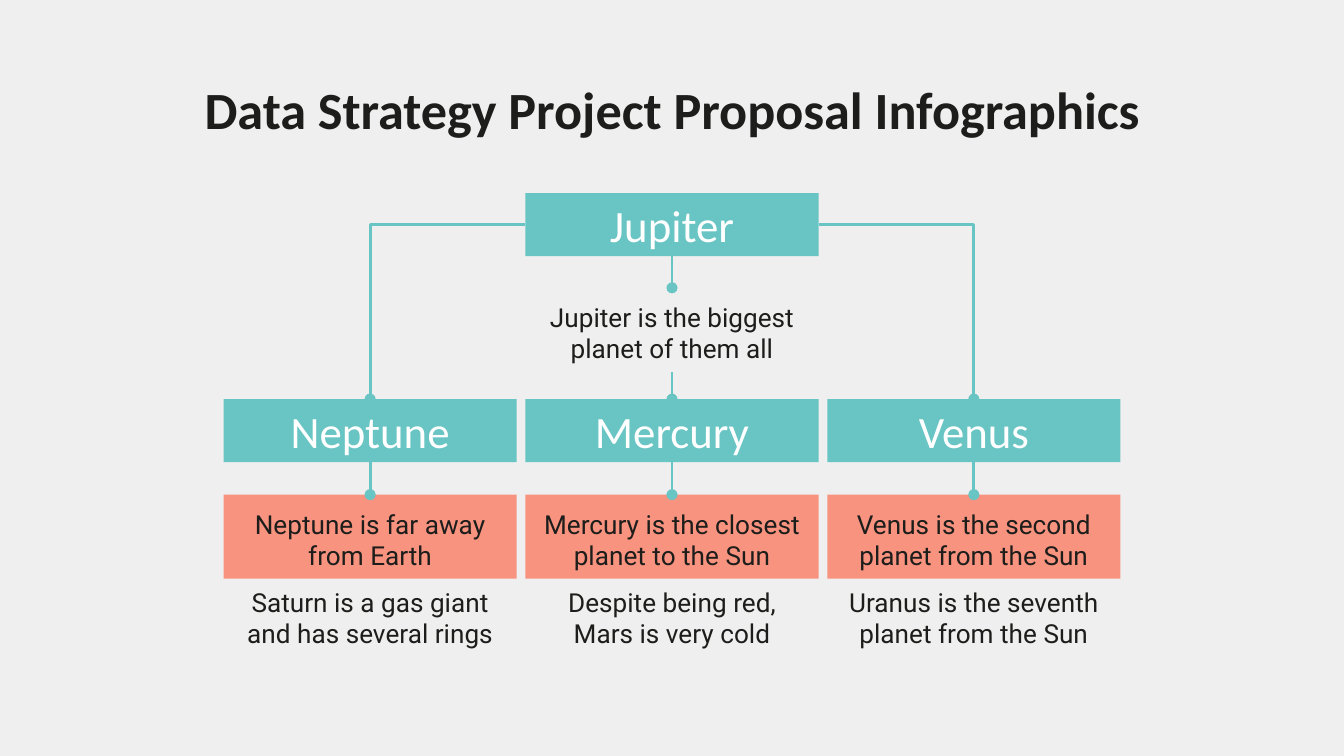
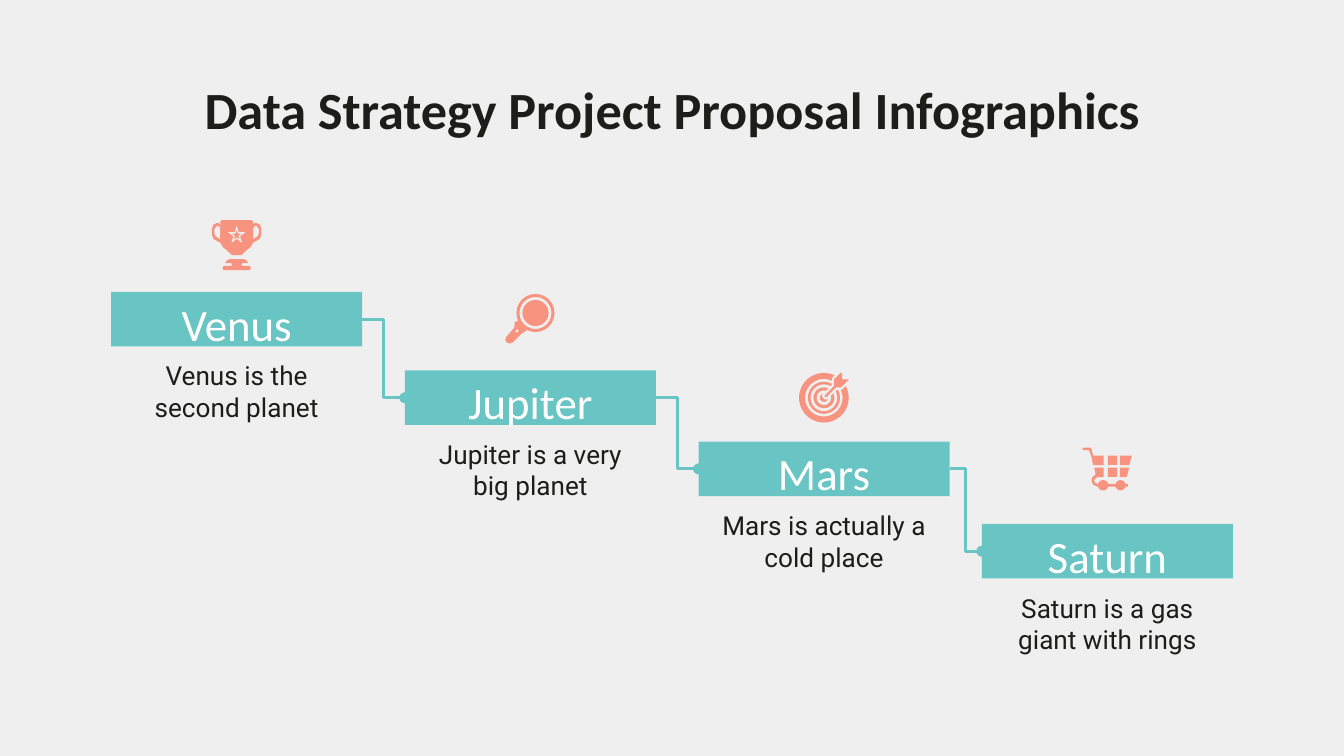
from lxml import etree
from pptx import Presentation
from pptx.dml.color import RGBColor
from pptx.enum.shapes import MSO_CONNECTOR, MSO_SHAPE
from pptx.enum.text import MSO_ANCHOR, PP_ALIGN
from pptx.oxml.ns import qn
from pptx.util import Pt

RECTANGLE, OVAL = MSO_SHAPE.RECTANGLE, MSO_SHAPE.OVAL
DONUT, STAR = MSO_SHAPE.DONUT, MSO_SHAPE.STAR_5_POINT
STRAIGHT, ELBOW = MSO_CONNECTOR.STRAIGHT, MSO_CONNECTOR.ELBOW
TOP, MIDDLE = MSO_ANCHOR.TOP, MSO_ANCHOR.MIDDLE
CENTER = PP_ALIGN.CENTER

COLORS = {
    "background": "EFEFEF",
    "ink": "1D1D1B",
    "teal": "68C5C3",
    "coral": "F7937F",
    "white": "FFFFFF",
}
HEADING_FONT, BODY_FONT = "Calibri", "Roboto"
TITLE = "Data Strategy Project Proposal Infographics"
ICON_WIDTH = 26.6
NOTE_HEIGHT = 45

ROOT = ("Jupiter", "Jupiter is the biggest planet of them all")
BRANCHES = [
    ("Neptune", "Neptune is far away from Earth",
     "Saturn is a gas giant and has several rings"),
    ("Mercury", "Mercury is the closest planet to the Sun",
     "Despite being red, Mars is very cold"),
    ("Venus", "Venus is the second planet from the Sun",
     "Uranus is the seventh planet from the Sun"),
]
STEPS = [
    ("Venus", "Venus is the second planet", 59.5, 156.4),
    ("Jupiter", "Jupiter is a very big planet", 216.9, 198.5),
    ("Mars", "Mars is actually a\ncold place", 374.2, 236.6),
    ("Saturn", "Saturn is a gas giant with rings", 526, 280.7),
]


def color(name):
    return RGBColor.from_string(COLORS[name])


def paint(shape, fill, outline=0):
    shape.shadow.inherit = False
    shape.fill.solid()
    shape.fill.fore_color.rgb = color(fill)
    if outline:
        shape.line.color.rgb = color(fill)
        shape.line.width = Pt(outline)
    else:
        shape.line.fill.background()
    return shape


def write(box, text, font=BODY_FONT, size=14, ink="ink", bold=False,
          anchor=TOP, spacing=1.0):
    frame = box.text_frame
    frame.word_wrap = True
    frame.vertical_anchor = anchor
    frame.margin_left = frame.margin_right = Pt(7.2)
    frame.margin_top = frame.margin_bottom = Pt(7.2)
    for index, line in enumerate(text.split("\n")):
        para = frame.add_paragraph() if index else frame.paragraphs[0]
        para.alignment = CENTER
        para.line_spacing = spacing
        span = para.add_run()
        span.text = line
        span.font.name = font
        span.font.size = Pt(size)
        span.font.bold = bold
        span.font.color.rgb = color(ink)


def add_preset(page, kind, left, top, width, height, fill):
    shape = page.shapes.add_shape(kind, Pt(left), Pt(top), Pt(width), Pt(height))
    return paint(shape, fill)


def add_note(page, text, left, top, width, fill=None):
    if fill:
        box = add_preset(page, RECTANGLE, left, top, width, NOTE_HEIGHT, fill)
    else:
        box = page.shapes.add_textbox(Pt(left), Pt(top), Pt(width), Pt(NOTE_HEIGHT))
    write(box, text)


def add_bar(page, text, left, top, width, height, spacing=1.0):
    bar = add_preset(page, RECTANGLE, left, top, width, height, "teal")
    write(bar, text, font=HEADING_FONT, size=24, ink="white", anchor=MIDDLE,
          spacing=spacing)


def add_link(page, start, end, kind=STRAIGHT, single_bend=False):
    link = page.shapes.add_connector(kind, *map(Pt, start + end))
    link.line.color.rgb = color("teal")
    link.line.width = Pt(1.5)
    properties = link._element.spPr
    if single_bend:
        properties.find(qn("a:prstGeom")).set("prst", "bentConnector2")
    etree.SubElement(link.line._get_or_add_ln(), qn("a:tailEnd"), type="oval")
    etree.SubElement(properties, qn("a:effectLst"))


def add_outline(page, origin, *contours, fill="coral", outline=0):
    placed = [[(Pt(origin[0] + x), Pt(origin[1] + y)) for x, y in contour]
              for contour in contours]
    builder = page.shapes.build_freeform(*placed[0][0])
    builder.add_line_segments(placed[0][1:])
    for contour in placed[1:]:
        builder.move_to(*contour[0])
        builder.add_line_segments(contour[1:])
    paint(builder.convert_to_shape(), fill, outline)


def add_round(page, center, radius, hole=0):
    shape = add_preset(page, DONUT if hole else OVAL, center[0] - radius,
                       center[1] - radius, 2 * radius, 2 * radius, "coral")
    if hole:
        shape.adjustments[0] = (radius - hole) / (2 * radius)


def mirror(points):
    return [(ICON_WIDTH - x, y) for x, y in reversed(points)]


def add_trophy(page, left, top):
    origin = (left, top)
    cup = [(13.3, 0), (5.2, 0), (4.5, 0.6), (4.5, 12), (6, 14.5),
           (8.6, 16.6), (10.8, 18.7)]
    base = [(9.4, 20.9), (7.9, 21.6), (7.2, 23), (10.4, 23), (10.8, 23.8),
            (10.4, 24.5), (6.5, 24.5), (5.8, 25.2), (5.8, 26.2), (6.5, 26.8)]
    handle = [(4.6, 2), (2.9, 1.4), (0.8, 2.4), (0, 5), (0, 7.5),
              (0.9, 10), (5, 12.4)]
    opening = [(2.9, 2.9), (4.2, 3.6), (4.5, 5), (4.5, 10.2), (2, 8.6),
               (1.4, 7.2), (1.4, 4.6)]
    for half in (cup, base):
        add_outline(page, origin, half + mirror(half))
    add_outline(page, origin, handle, opening)
    add_outline(page, origin, mirror(handle), mirror(opening))
    add_preset(page, STAR, left + 8.7, top + 2.9, 9.2, 9.2, "background")
    add_preset(page, STAR, left + 10.9, top + 5.4, 4.8, 4.8, "coral")


def add_magnifier(page, left, top):
    lens = (left + 16.9, top + 10.2)
    add_round(page, lens, 10.2, hole=8.6)
    add_round(page, lens, 7)
    handle = [(5.8, 15.1), (7.9, 14.2), (12.6, 19.2), (9.4, 21.3), (4.7, 25.9),
              (3.2, 26.6), (1.5, 26), (0.7, 24.6), (1.3, 23), (5.6, 18)]
    rivet = [(7.2, 18.7), (7.9, 19.8), (7, 20.9), (6, 19.8)]
    add_outline(page, (left, top), handle, rivet)


def add_target(page, left, top):
    for radius, hole in [(13.3, 10.1), (8.6, 7.2), (5.6, 4), (2.2, 0)]:
        add_round(page, (left + 13.2, top + 13.5), radius, hole)
    dart = [(22.3, 0), (18.7, 3.6), (18.7, 7.2), (13.4, 12.5), (14.4, 13.3),
            (19.6, 8), (22.3, 8), (26.6, 3.7), (23, 3.6), (23, 0.4)]
    add_outline(page, (left, top), dart, fill="background", outline=2.5)
    add_outline(page, (left, top), dart)


def add_cart(page, left, top):
    push_bar = [(0.7, 0), (4.3, 0), (5, 0.7), (5.8, 4.3), (11.5, 4.3),
                (11.5, 9.4), (5.8, 9.4), (5, 5), (3.6, 1.4), (0.7, 1.4), (0, 0.7)]
    frame = [(6.5, 10.8), (11.5, 10.8), (11.5, 15.8), (7.9, 15.8), (6.5, 17.3),
             (6.7, 18.7), (7.9, 19.4), (24.5, 19.4), (24.5, 20.9), (7.9, 20.9),
             (5.8, 19.8), (5, 18), (5.3, 16), (7.2, 14.4)]
    upper_side = [(20.2, 4.3), (26.6, 4.3), (25.2, 9.4), (20.2, 9.4)]
    lower_side = [(20.2, 10.8), (25.2, 10.8), (23.8, 15.8), (20.2, 15.8)]
    for part in (push_bar, frame, upper_side, lower_side):
        add_outline(page, (left, top), part)
    for row in (4.3, 10.8):
        add_preset(page, RECTANGLE, left + 13.7, top + row, 5, 5, "coral")
    for wheel in (11.2, 20.5):
        add_round(page, (left + wheel, top + 20.2), 2.8)


def add_page(deck):
    page = deck.slides.add_slide(deck.slide_layouts[6])
    page.background.fill.solid()
    page.background.fill.fore_color.rgb = color("background")
    title = page.shapes.add_textbox(Pt(56.7), Pt(35.3), Pt(606.6), Pt(45.4))
    write(title, TITLE, font=HEADING_FONT, size=28, bold=True, anchor=MIDDLE)
    return page


def build_hierarchy(deck):
    page = add_page(deck)
    width, height, pitch = 157, 33.8, 161.7
    middle, root_top, branch_top = 360, 103.5, 213.8
    fact_top, extra_top, root_note_top = 265, 306.8, 154.2
    root_left = middle - width / 2
    root_center = root_top + height / 2

    for side in (-1, 1):
        add_link(page, (middle + side * width / 2, root_center),
                 (middle + side * pitch, branch_top), ELBOW, single_bend=True)
    add_link(page, (middle, root_note_top + NOTE_HEIGHT), (middle, branch_top))

    add_bar(page, ROOT[0], root_left, root_top, width, height)
    add_note(page, ROOT[1], root_left, root_note_top, width)
    add_link(page, (middle, root_top + height), (middle, root_note_top))

    for index, (name, fact, extra) in enumerate(BRANCHES):
        left = root_left + (index - 1) * pitch
        center = left + width / 2
        add_bar(page, name, left, branch_top, width, height)
        add_note(page, fact, left, fact_top, width, fill="coral")
        add_note(page, extra, left, extra_top, width)
        add_link(page, (center, branch_top + height), (center, fact_top))


def build_staircase(deck):
    page = add_page(deck)
    width, height = 134.5, 29.2
    for (_, _, left, top), (_, _, next_left, next_top) in zip(STEPS, STEPS[1:]):
        add_link(page, (left + width, top + height / 2),
                 (next_left, next_top + height / 2), ELBOW)
    for name, note, left, top in STEPS:
        add_bar(page, name, left, top, width, height, spacing=1.15)
        add_note(page, note, left, top + height, width)
    add_trophy(page, 113.5, 118)
    add_magnifier(page, 270, 157.5)
    add_target(page, 428.2, 199.6)
    add_cart(page, 579.8, 239.8)


def main():
    deck = Presentation()
    deck.slide_width, deck.slide_height = Pt(720), Pt(405)
    build_hierarchy(deck)
    build_staircase(deck)
    deck.save("out.pptx")


if __name__ == "__main__":
    main()
